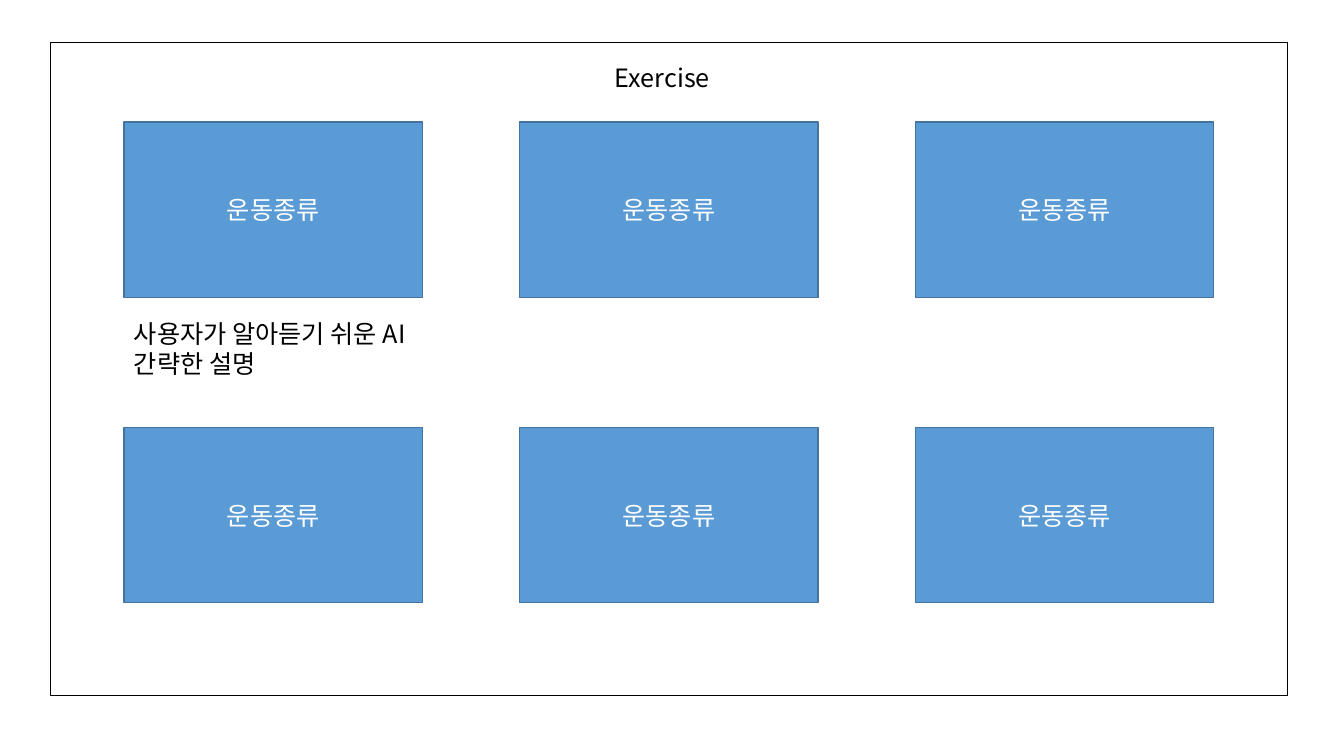
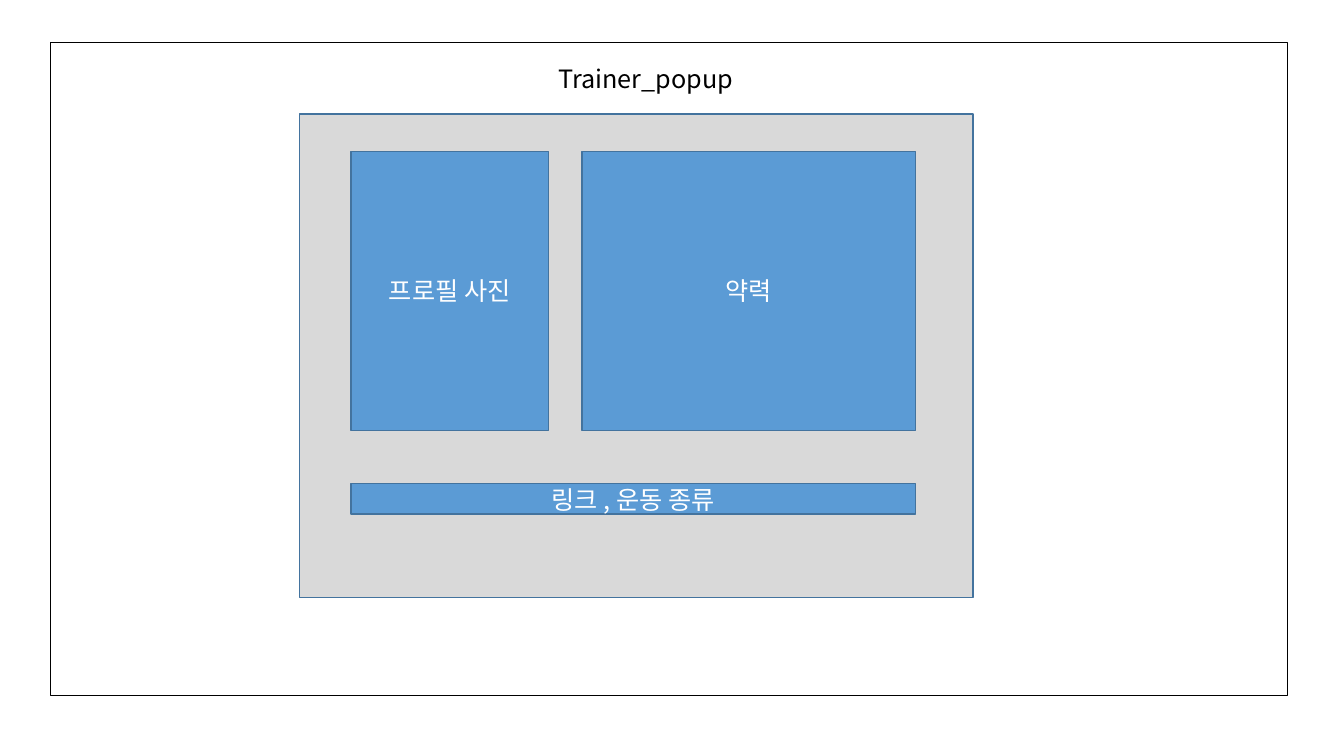
from dataclasses import dataclass
from itertools import product

from lxml.etree import SubElement
from pptx import Presentation
from pptx.dml.color import RGBColor
from pptx.enum.shapes import MSO_SHAPE
from pptx.enum.text import MSO_ANCHOR, MSO_AUTO_SIZE, PP_ALIGN
from pptx.oxml.ns import qn
from pptx.util import Inches, Pt


@dataclass(frozen=True)
class Theme:
    """Colours, font and type size that all slides share."""
    ink: str = "000000"
    paper: str = "FFFFFF"
    card: str = "5B9BD5"
    edge: str = "43739E"
    panel: str = "D9D9D9"
    font: str = "Noto Sans CJK KR"
    size: int = 18
    rule: int = 1


THEME = Theme()
WIDTH, HEIGHT = Inches(13.33), Inches(7.5)
TITLE_ONLY = 5

# Boxes are left, top, width, height in percent of the slide.
FRAME = (3.75, 5.6, 92.05, 86.4)
TITLE_SIZE = (19.58, 5.33)


def rgb(code):
    """Turn a hex code into a colour."""
    return RGBColor.from_string(code)


def place(box):
    """Turn percent shares of the slide into lengths."""
    sides = (WIDTH, HEIGHT, WIDTH, HEIGHT)
    return [round(side * share / 100) for side, share in zip(sides, box)]


def write(shape, text, color=THEME.ink, align=PP_ALIGN.LEFT,
          anchor=MSO_ANCHOR.TOP, fit=MSO_AUTO_SIZE.NONE):
    """Put formatted text into a shape."""
    frame = shape.text_frame
    frame.word_wrap = True
    frame.auto_size = fit
    frame.vertical_anchor = anchor
    para = frame.paragraphs[0]
    para.alignment = align
    para.line_spacing = 1.0
    para.space_before = Pt(0)
    run = para.add_run()
    run.text = text
    font = run.font
    font.size = Pt(THEME.size)
    font.color.rgb = rgb(color)
    font.name = THEME.font
    east = SubElement(font._element, qn("a:ea"))
    east.set("typeface", THEME.font)


def rect(slide, box, fill, line=THEME.edge):
    """Draw a flat, outlined rectangle."""
    shape = slide.shapes.add_shape(MSO_SHAPE.RECTANGLE, *place(box))
    shape.shadow.inherit = False
    shape.fill.solid()
    shape.fill.fore_color.rgb = rgb(fill)
    shape.line.color.rgb = rgb(line)
    shape.line.width = Pt(THEME.rule)
    return shape


def card(slide, box, text):
    """Draw a blue card with a centred label."""
    write(rect(slide, box, THEME.card), text, color=THEME.paper,
          align=PP_ALIGN.CENTER, anchor=MSO_ANCHOR.MIDDLE)


def note(slide, box, text):
    """Add a wrapped text box."""
    area = slide.shapes.add_textbox(*place(box))
    write(area, text, fit=MSO_AUTO_SIZE.SHAPE_TO_FIT_TEXT)


def page(deck, title, left, top):
    """Add a slide with the page frame and its title in front."""
    slide = deck.slides.add_slide(deck.slide_layouts[TITLE_ONLY])
    frame = rect(slide, FRAME, THEME.paper, line=THEME.ink)
    head = slide.shapes.title
    frame.element.addnext(head.element)
    head.left, head.top, head.width, head.height = place(
        (left, top, *TITLE_SIZE))
    write(head, title, fit=MSO_AUTO_SIZE.SHAPE_TO_FIT_TEXT)
    return slide


def exercise(deck):
    """Build the grid of exercise cards."""
    slide = page(deck, "Exercise", 45, 7.6)
    left, top, width, height = 9.23, 16.13, 22.2, 23.2
    across, down = 29.44, 40.4
    for row, col in product(range(2), range(3)):
        box = (left + col * across, top + row * down, width, height)
        card(slide, box, "운동종류")
    note(slide, (left, 41.47, width, 9.47),
         "사용자가 알아듣기 쉬운 AI 간략한 설명")


def trainer(deck):
    """Build the trainer popup."""
    slide = page(deck, "Trainer_popup", 40.8, 7.73)
    rect(slide, (22.28, 15.07, 50.11, 64), THEME.panel)
    left, top, height = 26.11, 20, 36.93
    photo, gap, career = 14.7, 2.48, 24.83
    card(slide, (left, top, photo, height), "프로필 사진")
    card(slide, (left + photo + gap, top, career, height), "약력")
    card(slide, (left, 64, photo + gap + career, 4), "링크 , 운동 종류")


def main():
    """Build and save the deck."""
    deck = Presentation()
    deck.slide_width, deck.slide_height = WIDTH, HEIGHT
    exercise(deck)
    trainer(deck)
    deck.save("out.pptx")


main()
